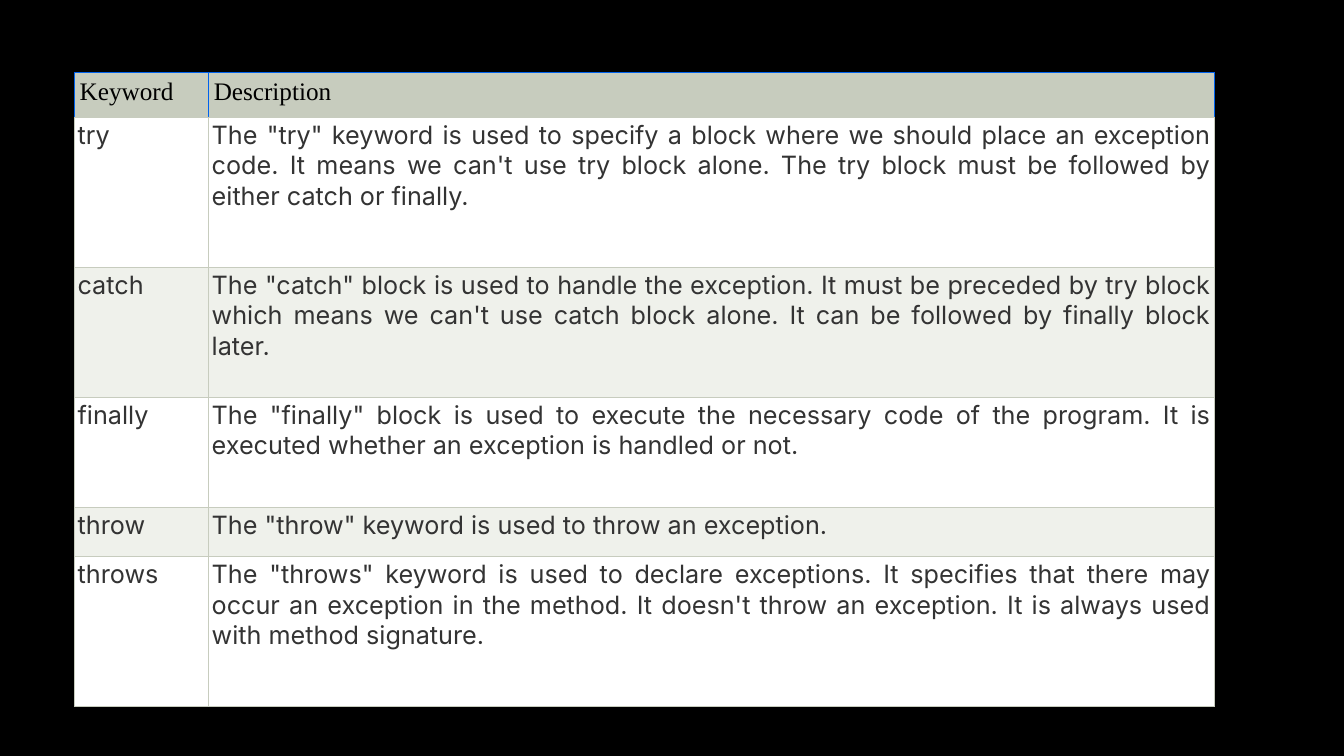
from lxml import etree
from pptx import Presentation
from pptx import util as u
from pptx.dml.color import RGBColor
from pptx.enum import text
from pptx.oxml import ns

COLORS = {
    "background": "000000",
    "header": "C7CCBE",
    "header_text": "000000",
    "header_edge": "0062ED",
    "grid": "C7CCBE",
    "plain": "FFFFFF",
    "band": "EFF1EB",
    "body_text": "333333",
}
COLUMN_WIDTHS = [1.33, 9.97]
ROW_HEIGHTS = [0.44, 1.49, 1.29, 1.09, 0.49, 1.49]
KEYWORDS = [
    ("Keyword", "Description"),
    ("try", 'The "try" keyword is used to specify a block where we should place '
            "an exception code. It means we can't use try block alone. The try "
            "block must be followed by either catch or finally."),
    ("catch", 'The "catch" block is used to handle the exception. It must be '
              "preceded by try block which means we can't use catch block alone. "
              "It can be followed by finally block later."),
    ("finally", 'The "finally" block is used to execute the necessary code of the '
                "program. It is executed whether an exception is handled or not."),
    ("throw", 'The "throw" keyword is used to throw an exception.'),
    ("throws", 'The "throws" keyword is used to declare exceptions. It specifies '
               "that there may occur an exception in the method. It doesn't throw "
               "an exception. It is always used with method signature."),
]


def write_text(frame, words, font, color, size=18, align=text.PP_ALIGN.LEFT):
    """Write one formatted paragraph into a text frame."""
    paragraph = frame.paragraphs[0]
    paragraph.alignment = align
    run = paragraph.add_run()
    run.text = words
    run.font.name = font
    run.font.size = u.Pt(size)
    run.font.bold = False
    run.font.color.rgb = RGBColor.from_string(color)


class SlideBuilder:
    """Holds the style and the current slide."""

    def __init__(self, slide, colors):
        """Keep the slide and its colours."""
        self.slide = slide
        self.colors = colors

    def background(self):
        """Fill the slide background."""
        fill = self.slide.background.fill
        fill.solid()
        fill.fore_color.rgb = RGBColor.from_string(self.colors["background"])

    def borders(self, cell, edges, width=0.6):
        """Draw the four cell borders, given as colour names by side."""
        properties = cell._tc.get_or_add_tcPr()
        for side in "LRTB":
            line = etree.SubElement(properties, ns.qn(f"a:ln{side}"), w=str(u.Pt(width)))
            solid = etree.SubElement(line, ns.qn("a:solidFill"))
            etree.SubElement(solid, ns.qn("a:srgbClr"), val=self.colors[edges[side]])

    def cell(self, cell, words, fill, edges, inset, **text_format):
        """Style one table cell and write its text."""
        self.borders(cell, edges)
        cell.fill.solid()
        cell.fill.fore_color.rgb = RGBColor.from_string(self.colors[fill])
        cell.margin_left = cell.margin_right = u.Inches(inset)
        cell.margin_top = cell.margin_bottom = u.Inches(inset)
        write_text(cell.text_frame, words, **text_format)

    def table(self, left, top, rows, widths, heights):
        """Add a table with a header row and alternating body rows."""
        frame = self.slide.shapes.add_table(
            len(rows), len(widths), u.Inches(left), u.Inches(top),
            u.Inches(sum(widths)), u.Inches(sum(heights)))
        table = frame.table
        for column, width in zip(table.columns, widths):
            column.width = u.Inches(width)
        for row, height in zip(table.rows, heights):
            row.height = u.Inches(height)

        grid = dict.fromkeys("LRTB", "grid")
        header = dict(
            fill="header", inset=0.05, font="Times New Roman",
            color=self.colors["header_text"],
            edges={**dict.fromkeys("LRT", "header_edge"), "B": "grid"})
        body = dict(inset=0.03, font="Inter", color=self.colors["body_text"],
                    edges=grid, align=text.PP_ALIGN.JUSTIFY)
        for index, row in enumerate(rows):
            style = {**body, "fill": "plain" if index % 2 else "band"} if index else header
            for column, words in enumerate(row):
                self.cell(table.cell(index, column), words, **style)


def main():
    """Build and save the exception keyword slide."""
    presentation = Presentation()
    presentation.slide_width = u.Inches(13.33)
    presentation.slide_height = u.Inches(7.5)
    slide = presentation.slides.add_slide(presentation.slide_layouts[6])
    builder = SlideBuilder(slide, COLORS)
    builder.background()
    builder.table(0.74, 0.72, KEYWORDS, COLUMN_WIDTHS, ROW_HEIGHTS)
    presentation.save("out.pptx")


main()
